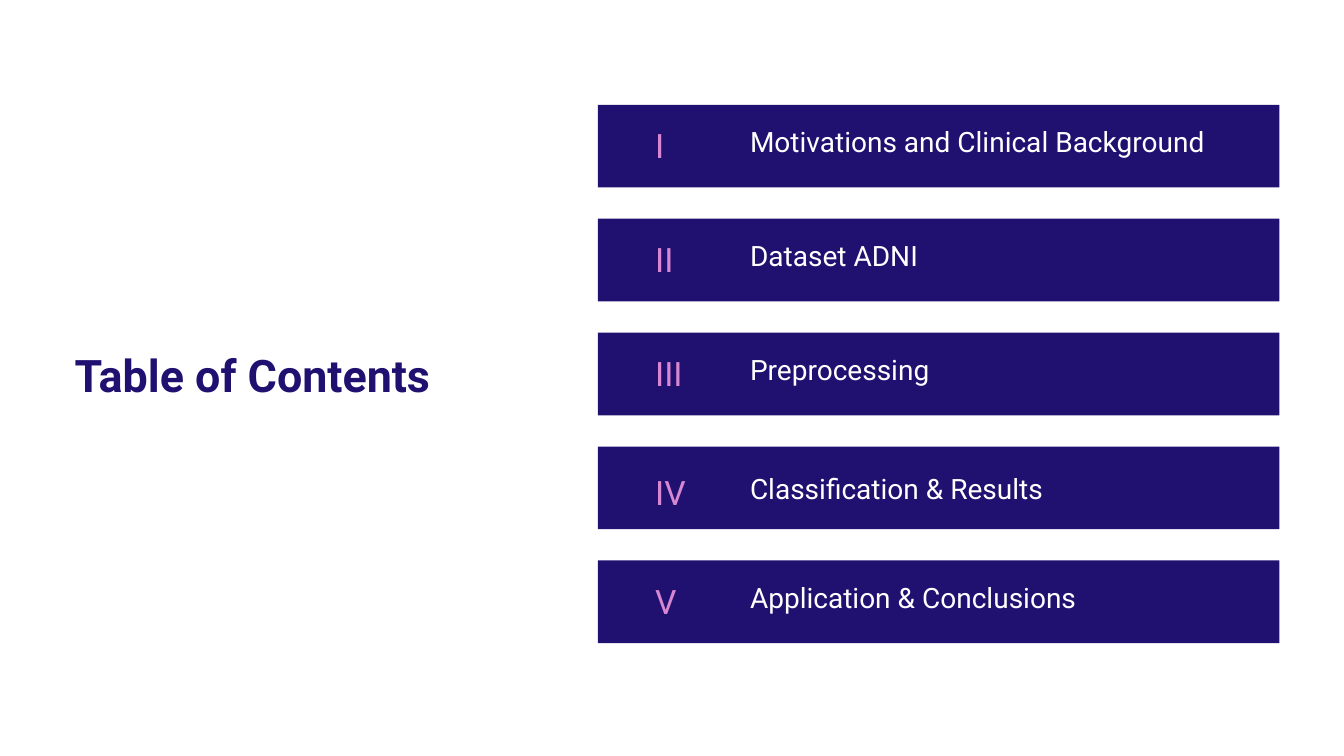
from pptx import Presentation
from pptx.dml.color import RGBColor
from pptx.enum.shapes import MSO_SHAPE
from pptx.enum.text import MSO_ANCHOR, MSO_AUTO_SIZE, PP_ALIGN
from pptx.util import Pt

PX = 9144  # 100 px to the inch
NAVY, PINK, WHITE = "201171", "D888D2", "FFFFFF"


def style(para, size, color, bold=False):
    para.alignment = PP_ALIGN.LEFT
    font = para.font
    font.name, font.size, font.bold = "Roboto", Pt(size), bold
    font.color.rgb = RGBColor.from_string(color)


def label(text, left, top, width, height, size, color):
    box = slide.shapes.add_textbox(left * PX, top * PX, width * PX, height * PX)
    frame = box.text_frame
    frame.word_wrap = True
    frame.auto_size = MSO_AUTO_SIZE.SHAPE_TO_FIT_TEXT
    frame.text = text
    style(frame.paragraphs[0], size, color)


deck = Presentation()
deck.slide_width, deck.slide_height = 1333 * PX, 750 * PX
slide = deck.slides.add_slide(deck.slide_layouts[5])

# Title
title = slide.shapes.title
title.left, title.top, title.width, title.height = 64 * PX, 327 * PX, 493 * PX, 96 * PX
title.text_frame.text = "Table of Contents"
title.text_frame.vertical_anchor = MSO_ANCHOR.MIDDLE
head = title.text_frame.paragraphs[0]
head.line_spacing = 0.9
style(head, 32, NAVY, bold=True)

# Chapters: numeral, name, extra drop of the text
chapters = [
    ("I", "Motivations and Clinical Background", 0),
    ("II", "Dataset ADNI", 0),
    ("III", "Preprocessing", 0),
    ("IV", "Classification & Results", 5),
    ("V", "Application & Conclusions", 0),
]
for row, (number, name, drop) in enumerate(chapters):
    top = 104 + 113 * row
    bar = slide.shapes.add_shape(
        MSO_SHAPE.RECTANGLE, 593 * PX, top * PX, 676 * PX, 82 * PX)
    bar.shadow.inherit = False
    bar.fill.solid()
    bar.fill.fore_color.rgb = RGBColor.from_string(NAVY)
    bar.line.fill.background()
    label(number, 640, top + 15 + drop, 75, 50, 24, PINK)
    label(name, 734, top + 15 + drop, 535, 44, 20, WHITE)

deck.save("out.pptx")
